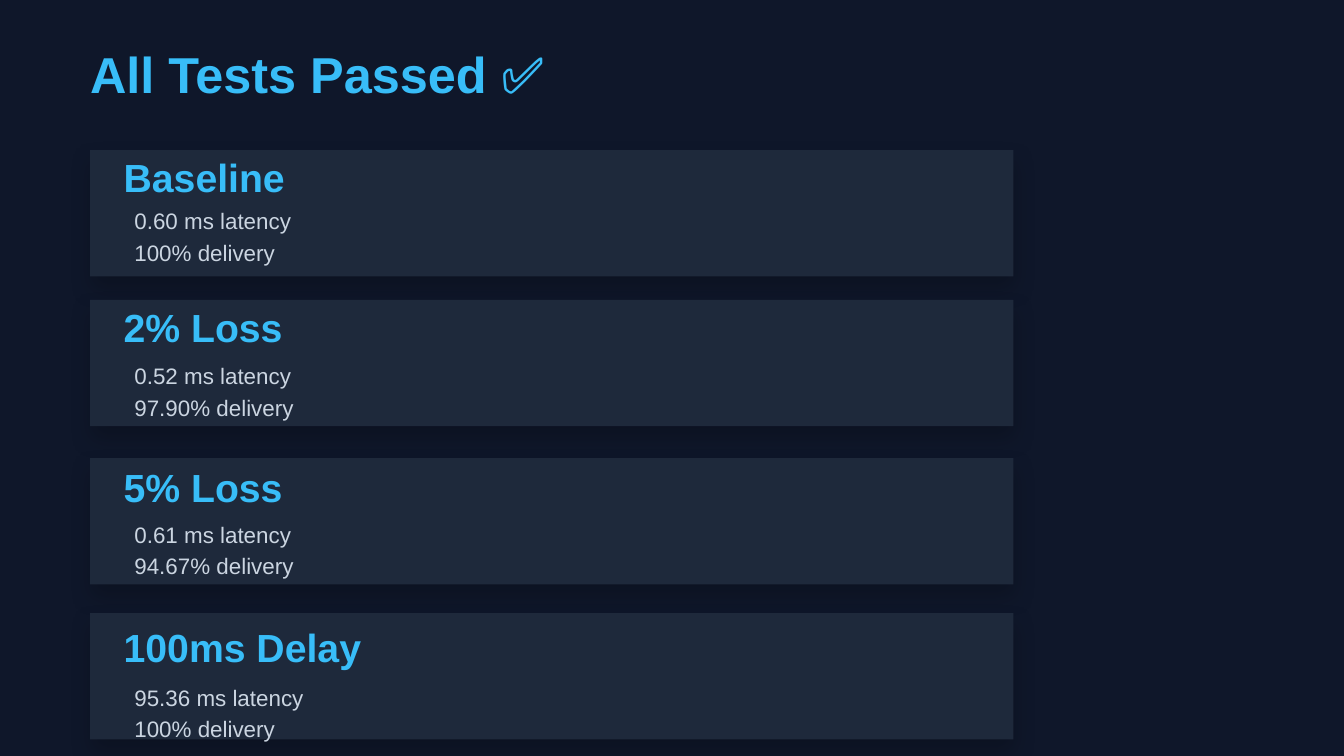
from dataclasses import dataclass

from lxml.etree import SubElement
from pptx import Presentation
from pptx.dml.color import RGBColor
from pptx.enum.shapes import MSO_SHAPE as Shape
from pptx.enum.text import MSO_ANCHOR as Anchor, MSO_AUTO_SIZE as AutoSize, PP_ALIGN as Align
from pptx.oxml.ns import qn
from pptx.util import Pt

COLORS = {
    "background": "0F172A",
    "card": "1E293B",
    "accent": "38BDF8",
    "detail": "CBD5E1",
    "shadow": "000000",
}
FONT = "Arial"
CARD_LEFT, CARD_WIDTH, CARD_HEIGHT = 48.24, 494.64, 67.68
HEADING_LEFT, HEADING_WIDTH = 66.24, 587.52
DETAIL_LEFT, DETAIL_WIDTH = 72, 576


@dataclass
class TestResult:
    name: str
    latency: str
    delivery: str
    card_top: float
    heading_top: float
    detail_top: float


RESULTS = [
    TestResult("Baseline", "0.60 ms", "100%", 80.4, 82.08, 108.72),
    TestResult("2% Loss", "0.52 ms", "97.90%", 160.7, 162.72, 191.8),
    TestResult("5% Loss", "0.61 ms", "94.67%", 245.4, 248.4, 276.6),
    TestResult("100ms Delay", "95.36 ms", "100%", 328.5, 333.7, 364.1),
]


def rgb(name: str) -> RGBColor:
    return RGBColor.from_string(COLORS[name])


def place(box, left: float, top: float, width: float, height: float) -> None:
    box.left, box.top, box.width, box.height = map(Pt, (left, top, width, height))


def write(box, text: str, *, size: float, leading: float, color: str, bold: bool = False) -> None:
    frame = box.text_frame
    frame.text = text
    frame.word_wrap = True
    frame.auto_size = AutoSize.NONE
    frame.vertical_anchor = Anchor.TOP
    frame.margin_left = frame.margin_top = frame.margin_right = frame.margin_bottom = 0
    for para in frame.paragraphs:
        para.alignment = Align.LEFT
        para.line_spacing = Pt(leading)
        para.space_before = para.space_after = Pt(0)
        properties = para._p.get_or_add_pPr()
        properties.set("marL", "0")
        properties.set("indent", "0")
        SubElement(properties, qn("a:buNone"))
        for span in para.runs:
            span.font.name = FONT
            span.font.size = Pt(size)
            span.font.bold = bold
            span.font.color.rgb = rgb(color)


def add_card(page, top: float) -> None:
    card = page.shapes.add_shape(
        Shape.RECTANGLE, Pt(CARD_LEFT), Pt(top), Pt(CARD_WIDTH), Pt(CARD_HEIGHT)
    )
    card.fill.solid()
    card.fill.fore_color.rgb = rgb("card")
    card.line.fill.background()
    card.shadow.inherit = False
    effects = card._element.spPr.find(qn("a:effectLst"))
    shadow = SubElement(
        effects, qn("a:outerShdw"), blurRad=str(Pt(12)), dist=str(Pt(6)),
        dir="5400000", algn="ctr", rotWithShape="0",
    )
    tint = SubElement(shadow, qn("a:srgbClr"), val=COLORS["shadow"])
    SubElement(tint, qn("a:alpha"), val="20000")


def add_result(page, result: TestResult, details) -> None:
    add_card(page, result.card_top)
    heading = page.shapes.add_textbox(0, 0, 0, 0)
    place(heading, HEADING_LEFT, result.heading_top, HEADING_WIDTH, 25.2)
    write(heading, result.name, size=21, leading=25.2, color="accent", bold=True)
    place(details, DETAIL_LEFT, result.detail_top, DETAIL_WIDTH, 33.6)
    write(
        details, f"{result.latency} latency\n{result.delivery} delivery",
        size=12, leading=16.8, color="detail",
    )
    page.shapes._spTree.append(details._element)


def main() -> None:
    deck = Presentation()
    deck.slide_width, deck.slide_height = Pt(720), Pt(405)
    comparison_layout = deck.slide_layouts[4]
    page = deck.slides.add_slide(comparison_layout)
    page.background.fill.solid()
    page.background.fill.fore_color.rgb = rgb("background")

    title, *bodies = page.placeholders
    place(title, CARD_LEFT, 23.04, 636.48, 32.4)
    write(title, "All Tests Passed ✅", size=27, leading=32.4, color="accent", bold=True)
    for result, details in zip(RESULTS, bodies):
        add_result(page, result, details)

    deck.save("out.pptx")


if __name__ == "__main__":
    main()
